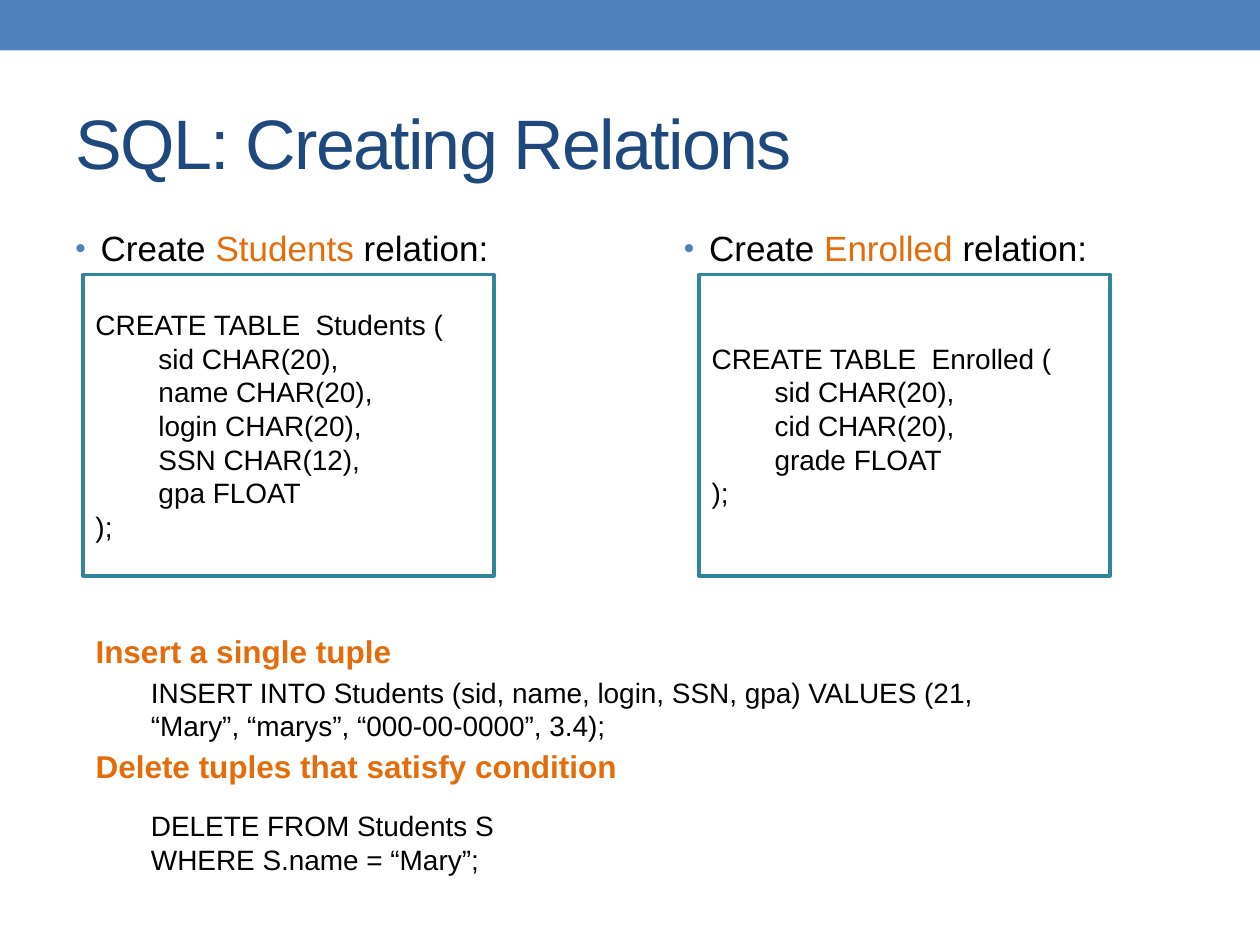
from dataclasses import dataclass
from typing import Any

from lxml import etree
from pptx import Presentation
from pptx import util as u
from pptx.dml.color import RGBColor
from pptx.enum import shapes, text
from pptx.oxml import ns


def colour(value):
    """Turn a hex string into a colour."""
    return RGBColor.from_string(value)


def place(box, left, top, width, height):
    """Move and size a shape in inches."""
    box.left, box.top = u.Inches(left), u.Inches(top)
    box.width, box.height = u.Inches(width), u.Inches(height)


@dataclass
class Sheet:
    """Holds the style and the current slide."""

    page: Any
    font: str = "Arial"
    ink: str = "000000"
    accent: str = "E46C0A"
    blue: str = "4F81BD"
    navy: str = "1F497D"
    teal: str = "31859C"

    def style(self, span, size, tint, bold=False):
        """Format one run."""
        span.font.name = self.font
        span.font.size = u.Pt(size)
        span.font.bold = bold
        span.font.color.rgb = colour(tint)

    def fill_text(self, box, lines, size, tint, bold=False):
        """Fill a shape with left-aligned lines."""
        frame = box.text_frame
        frame.word_wrap = True
        frame.text = "\n".join(lines)
        for para in frame.paragraphs:
            para.alignment = text.PP_ALIGN.LEFT
            para._p.get_or_add_pPr().set("defTabSz", str(u.Inches(0.5)))
            for span in para.runs:
                self.style(span, size, tint, bold)

    def rectangle(self, left, top, width, height):
        """Add a plain rectangle without fill or shadow."""
        box = self.page.shapes.add_shape(
            shapes.MSO_SHAPE.RECTANGLE, *map(u.Inches, (left, top, width, height)))
        box.shadow.inherit = False
        box.fill.background()
        return box

    def band(self, height):
        """Add the coloured band along the top."""
        box = self.rectangle(0, 0, 10, height)
        box.fill.solid()
        box.fill.fore_color.rgb = colour(self.blue)
        box.line.fill.background()

    def title(self, words):
        """Place and format the title."""
        box = self.page.shapes.title
        place(box, 0.5, 0.58, 9, 1.08)
        self.fill_text(box, [words], 40, self.navy)
        box.text_frame.vertical_anchor = text.MSO_ANCHOR.MIDDLE
        box.text_frame.paragraphs[0].runs[0].font._element.set("spc", "-100")

    def textbox(self, left, top, width, height, lines, size=16, tint=None, bold=False):
        """Add a text box."""
        box = self.page.shapes.add_textbox(*map(u.Inches, (left, top, width, height)))
        self.fill_text(box, lines, size, tint or self.ink, bold)
        return box

    def bullet(self, left, relation):
        """Add a bulleted heading with the relation name highlighted."""
        box = self.textbox(left, 1.75, 3.68, 5.33, [])
        para = box.text_frame.paragraphs[0]
        for words, tint in (("Create ", self.ink), (relation, self.accent),
                            (" relation:", self.ink)):
            span = para.add_run()
            span.text = words
            self.style(span, 20, tint)
        para.space_before = u.Pt(2)
        props = para._p.get_or_add_pPr()
        props.set("marL", str(u.Inches(0.2)))
        props.set("indent", str(u.Inches(-0.2)))
        tint = etree.SubElement(props, ns.qn("a:buClr"))
        etree.SubElement(tint, ns.qn("a:srgbClr"), val=self.blue)
        etree.SubElement(props, ns.qn("a:buSzPct"), val="85000")
        etree.SubElement(props, ns.qn("a:buFont"), typeface=self.font)
        etree.SubElement(props, ns.qn("a:buChar"), char="•")

    def code(self, left, relation, columns):
        """Add an outlined box with a table definition."""
        box = self.rectangle(left, 2.18, 3.26, 2.39)
        box.line.color.rgb = colour(self.teal)
        box.line.width = u.Pt(2.08)
        fields = ",\n\t".join(columns)
        lines = [f"CREATE TABLE  {relation} (", f"\t{fields}", ");"]
        self.fill_text(box, lines, 16, self.ink)
        box.text_frame.vertical_anchor = text.MSO_ANCHOR.MIDDLE


def main():
    """Build and save the slide."""
    deck = Presentation()
    deck.slide_width, deck.slide_height = u.Inches(10), u.Inches(7.5)
    sheet = Sheet(deck.slides.add_slide(deck.slide_layouts[5]))
    sheet.band(0.4)
    sheet.title("SQL: Creating Relations")

    relations = (
        (0.5, 0.66, "Students", ("sid CHAR(20)", "name CHAR(20)", "login CHAR(20)",
                                 "SSN CHAR(12)", "gpa FLOAT")),
        (5.33, 5.55, "Enrolled", ("sid CHAR(20)", "cid CHAR(20)", "grade FLOAT")),
    )
    for bullet_left, code_left, relation, columns in relations:
        sheet.bullet(bullet_left, relation)
        sheet.code(code_left, relation, columns)

    headings = sheet.textbox(
        0.66, 4.97, 8.15, 1.31,
        ["Insert a single tuple", "Delete tuples that satisfy condition"],
        18, sheet.accent, True)
    headings.text_frame.paragraphs[1].space_before = u.Pt(44)
    sheet.textbox(1.1, 5.31, 7.26, 0.64, [
        "INSERT INTO Students (sid, name, login, SSN, gpa) VALUES "
        "(21, “Mary”, “marys”, “000-00-0000”, 3.4);"])
    sheet.textbox(1.1, 6.37, 7.26, 0.64,
                  ["DELETE FROM Students S", "WHERE S.name = “Mary”;"])
    deck.save("out.pptx")


if __name__ == "__main__":
    main()
